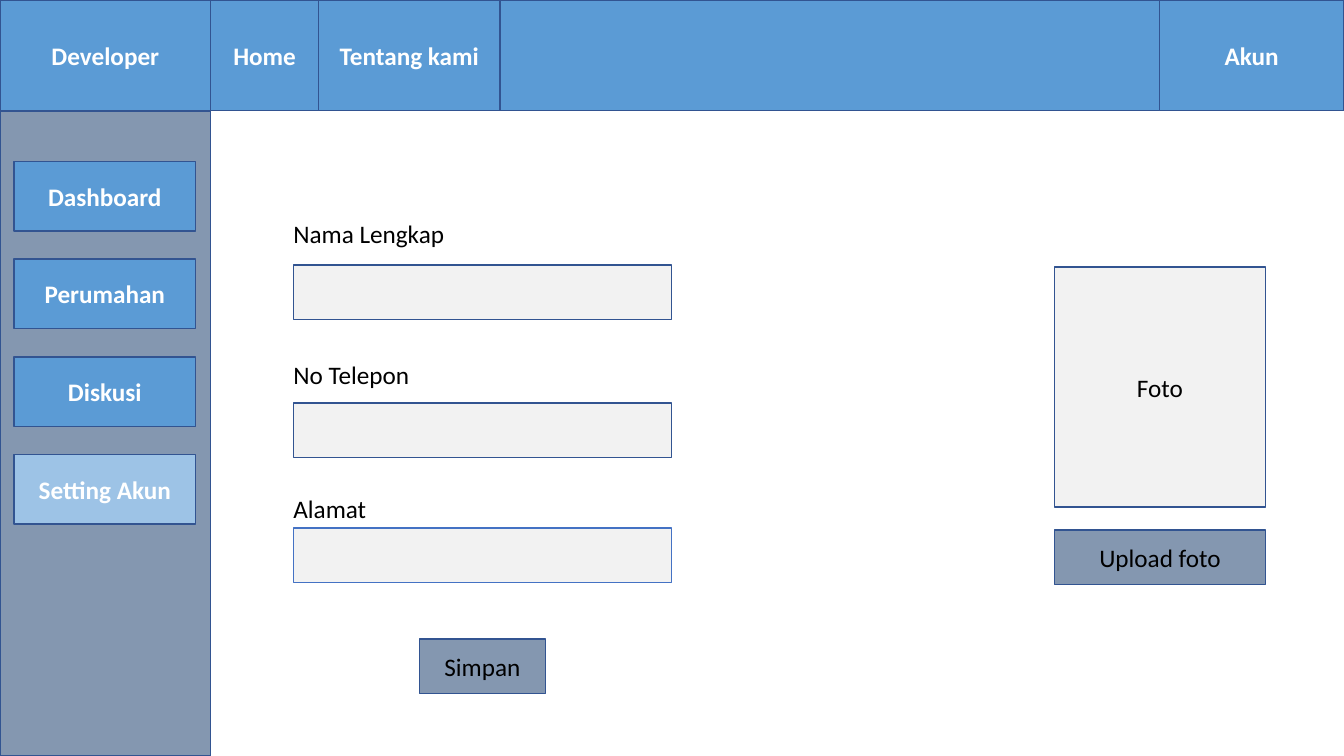
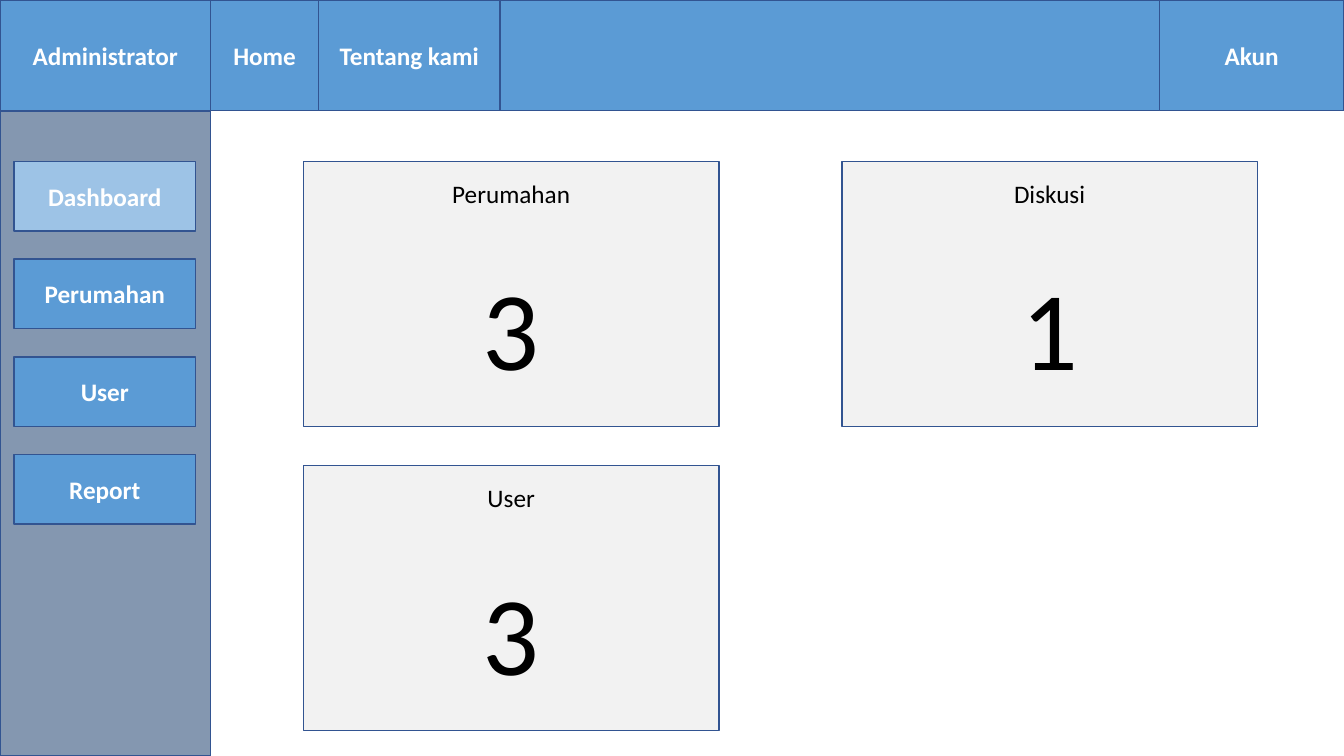
from dataclasses import dataclass

from pptx import Presentation
from pptx.dml.color import RGBColor
from pptx.enum.shapes import MSO_SHAPE
from pptx.enum.text import MSO_ANCHOR, PP_ALIGN
from pptx.presentation import Presentation as Deck
from pptx.shapes.autoshape import Shape
from pptx.slide import Slide
from pptx.util import Inches, Pt

RECTANGLE = MSO_SHAPE.RECTANGLE
LEFT, CENTER = PP_ALIGN.LEFT, PP_ALIGN.CENTER
TOP, MIDDLE = MSO_ANCHOR.TOP, MSO_ANCHOR.MIDDLE

COLORS = {
    "blue": "5B9BD5",
    "active": "9DC3E6",
    "slate": "8497B0",
    "panel": "F2F2F2",
    "outline": "325491",
    "accent": "4472C4",
    "white": "FFFFFF",
    "black": "000000",
}
FONT = "Calibri"
PAGE_WIDTH, PAGE_HEIGHT = 13.33, 7.5
BAR_HEIGHT = 1.1
SIDEBAR_WIDTH = 2.09
MENU_LEFT, MENU_TOP, MENU_PITCH = 0.14, 1.6, 0.97
MENU_WIDTH, MENU_HEIGHT = 1.8, 0.69
FIELD_LEFT, FIELD_WIDTH, FIELD_HEIGHT = 2.91, 3.75, 0.54
LABEL_HEIGHT = 0.4
PHOTO_LEFT, PHOTO_WIDTH = 10.46, 2.09
CARD_WIDTH, CARD_HEIGHT = 4.12, 2.63


@dataclass(frozen=True)
class Area:
    left: float
    top: float
    width: float
    height: float


@dataclass(frozen=True)
class Field:
    label: str
    label_top: float
    top: float
    line: str = "outline"


@dataclass(frozen=True)
class Card:
    title: str
    count: str
    left: float
    top: float


FIELDS = (
    Field("Nama Lengkap", 2.12, 2.63),
    Field("No Telepon", 3.52, 4),
    Field("Alamat", 4.84, 5.24, line="accent"),
)
CARDS = (
    Card("Perumahan", "3", 3.01, 1.6),
    Card("Diskusi", "1", 8.35, 1.6),
    Card("User", "3", 3.01, 4.62),
)


def color(name: str) -> RGBColor:
    return RGBColor.from_string(COLORS[name])


def write_text(box: Shape, text: str, *, size: float = 18, ink: str = "black",
               bold: bool = False, align: PP_ALIGN = CENTER,
               anchor: MSO_ANCHOR = MIDDLE) -> None:
    frame = box.text_frame
    frame.word_wrap = True
    frame.vertical_anchor = anchor
    para = frame.paragraphs[0]
    para.alignment = align
    span = para.add_run()
    span.text = text
    span.font.name = FONT
    span.font.size = Pt(size)
    span.font.bold = bold
    span.font.color.rgb = color(ink)


def add_panel(page: Slide, area: Area, fill: str, line: str = "outline") -> Shape:
    panel = page.shapes.add_shape(RECTANGLE, Inches(area.left), Inches(area.top),
                                  Inches(area.width), Inches(area.height))
    panel.shadow.inherit = False
    panel.fill.solid()
    panel.fill.fore_color.rgb = color(fill)
    panel.line.color.rgb = color(line)
    panel.line.width = Pt(1)
    return panel


def add_button(page: Slide, area: Area, text: str, fill: str = "slate") -> None:
    write_text(add_panel(page, area, fill), text)


def add_nav_item(page: Slide, area: Area, text: str, fill: str = "blue") -> None:
    write_text(add_panel(page, area, fill), text, ink="white", bold=True)


def add_label(page: Slide, area: Area, text: str, *, size: float = 18,
              align: PP_ALIGN = CENTER) -> None:
    box = page.shapes.add_textbox(Inches(area.left), Inches(area.top),
                                  Inches(area.width), Inches(area.height))
    box.text_frame.margin_left = box.text_frame.margin_right = 0
    write_text(box, text, size=size, align=align, anchor=TOP)


def add_page(deck: Deck, role: str, menu: tuple[str, ...], active: str) -> Slide:
    """Add a page with the top bar and the side menu, one entry highlighted."""
    page = deck.slides.add_slide(deck.slide_layouts[6])
    add_panel(page, Area(0, BAR_HEIGHT, SIDEBAR_WIDTH, PAGE_HEIGHT - BAR_HEIGHT), "slate")

    left = 0.0
    bar = ((role, SIDEBAR_WIDTH), ("Home", 1.07), ("Tentang kami", 1.8),
           ("", 6.54), ("Akun", 1.83))
    for text, width in bar:
        area = Area(left, 0, width, BAR_HEIGHT)
        if text:
            add_nav_item(page, area, text)
        else:
            add_panel(page, area, "blue")
        left += width

    for row, text in enumerate(menu):
        area = Area(MENU_LEFT, MENU_TOP + row * MENU_PITCH, MENU_WIDTH, MENU_HEIGHT)
        add_nav_item(page, area, text, "active" if text == active else "blue")
    return page


def add_field(page: Slide, field: Field) -> None:
    add_panel(page, Area(FIELD_LEFT, field.top, FIELD_WIDTH, FIELD_HEIGHT),
              "panel", field.line)
    add_label(page, Area(FIELD_LEFT, field.label_top, FIELD_WIDTH, LABEL_HEIGHT),
              field.label, align=LEFT)


def add_card(page: Slide, card: Card) -> None:
    add_panel(page, Area(card.left, card.top, CARD_WIDTH, CARD_HEIGHT), "panel")
    add_label(page, Area(card.left, card.top + 0.12, CARD_WIDTH, LABEL_HEIGHT), card.title)
    add_label(page, Area(card.left, card.top + 0.92, CARD_WIDTH, 1.45), card.count, size=80)


def build_account_page(deck: Deck) -> None:
    menu = ("Dashboard", "Perumahan", "Diskusi", "Setting Akun")
    page = add_page(deck, "Developer", menu, active="Setting Akun")
    for field in FIELDS:
        add_field(page, field)
    add_button(page, Area(4.16, 6.34, 1.25, FIELD_HEIGHT), "Simpan")
    add_button(page, Area(PHOTO_LEFT, 2.65, PHOTO_WIDTH, 2.38), "Foto", "panel")
    add_button(page, Area(PHOTO_LEFT, 5.26, PHOTO_WIDTH, FIELD_HEIGHT), "Upload foto")


def build_dashboard_page(deck: Deck) -> None:
    menu = ("Dashboard", "Perumahan", "User", "Report")
    page = add_page(deck, "Administrator", menu, active="Dashboard")
    for card in CARDS:
        add_card(page, card)


def main() -> None:
    deck = Presentation()
    deck.slide_width = Inches(PAGE_WIDTH)
    deck.slide_height = Inches(PAGE_HEIGHT)
    build_account_page(deck)
    build_dashboard_page(deck)
    deck.save("out.pptx")


if __name__ == "__main__":
    main()
